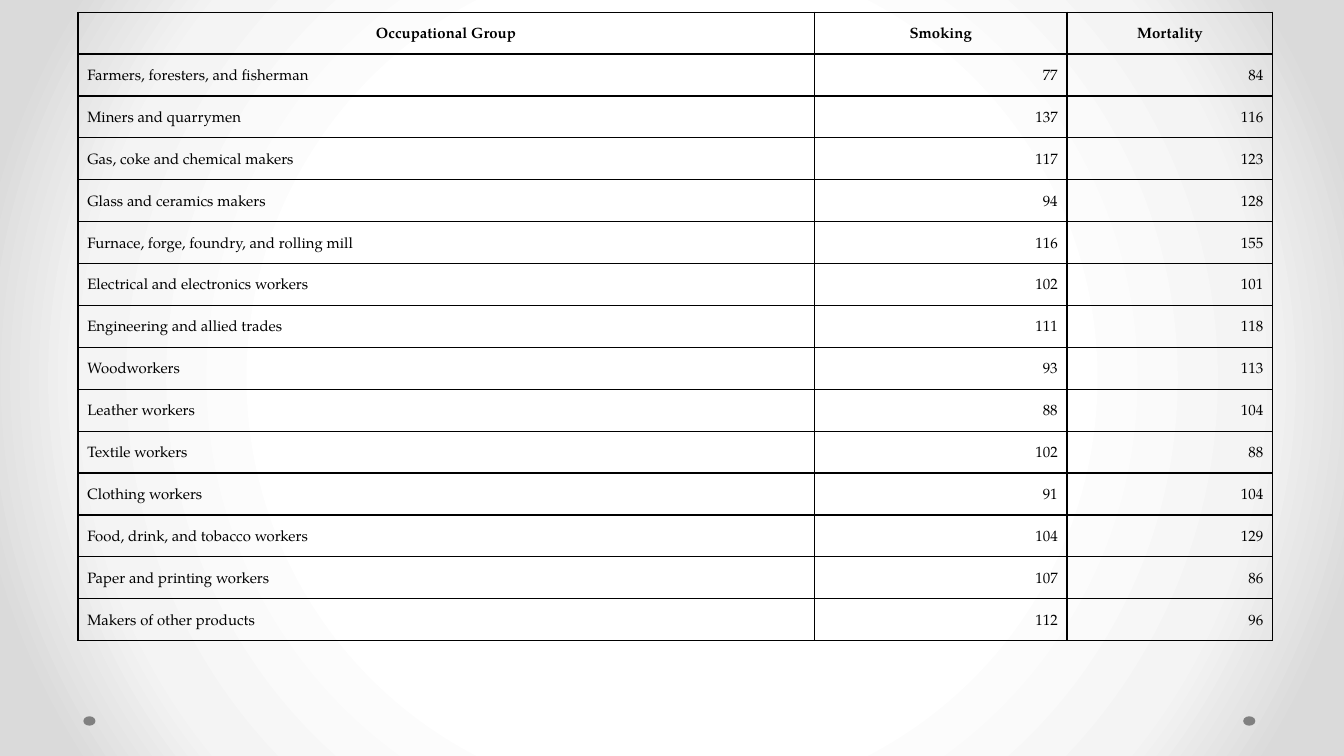
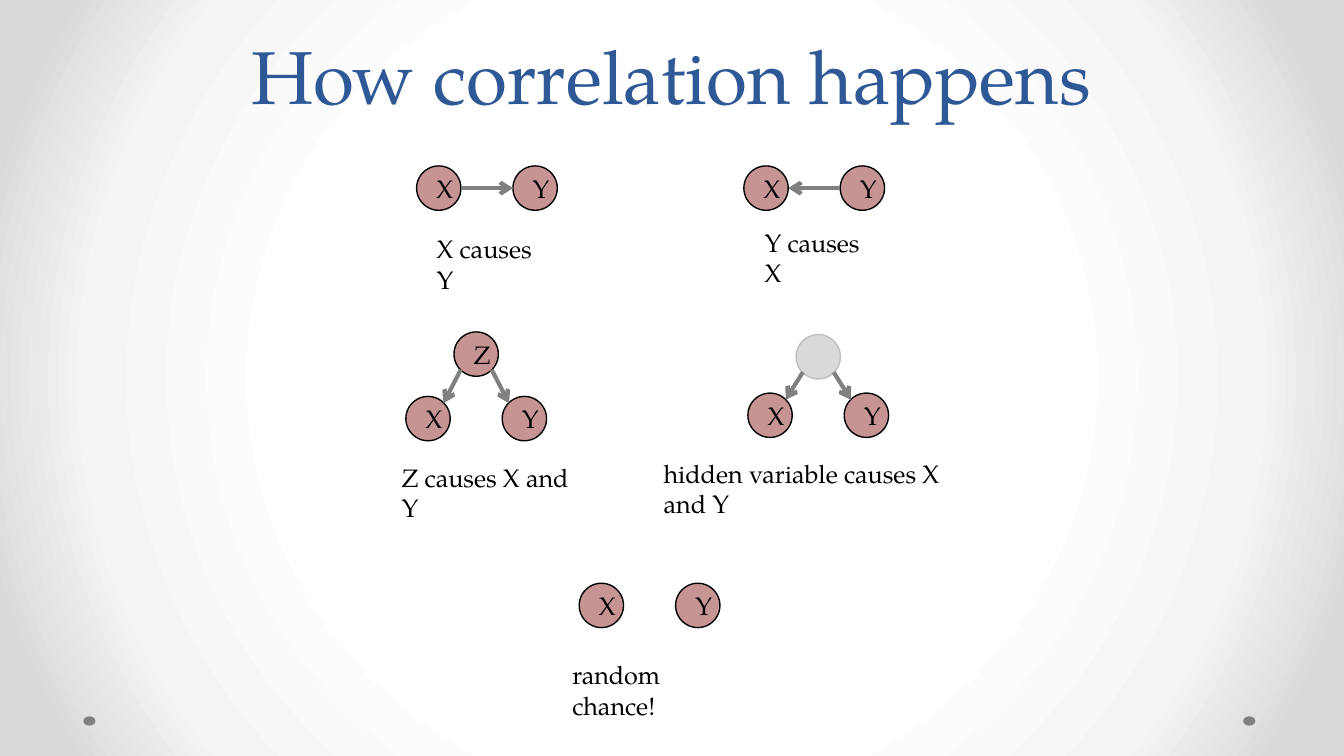
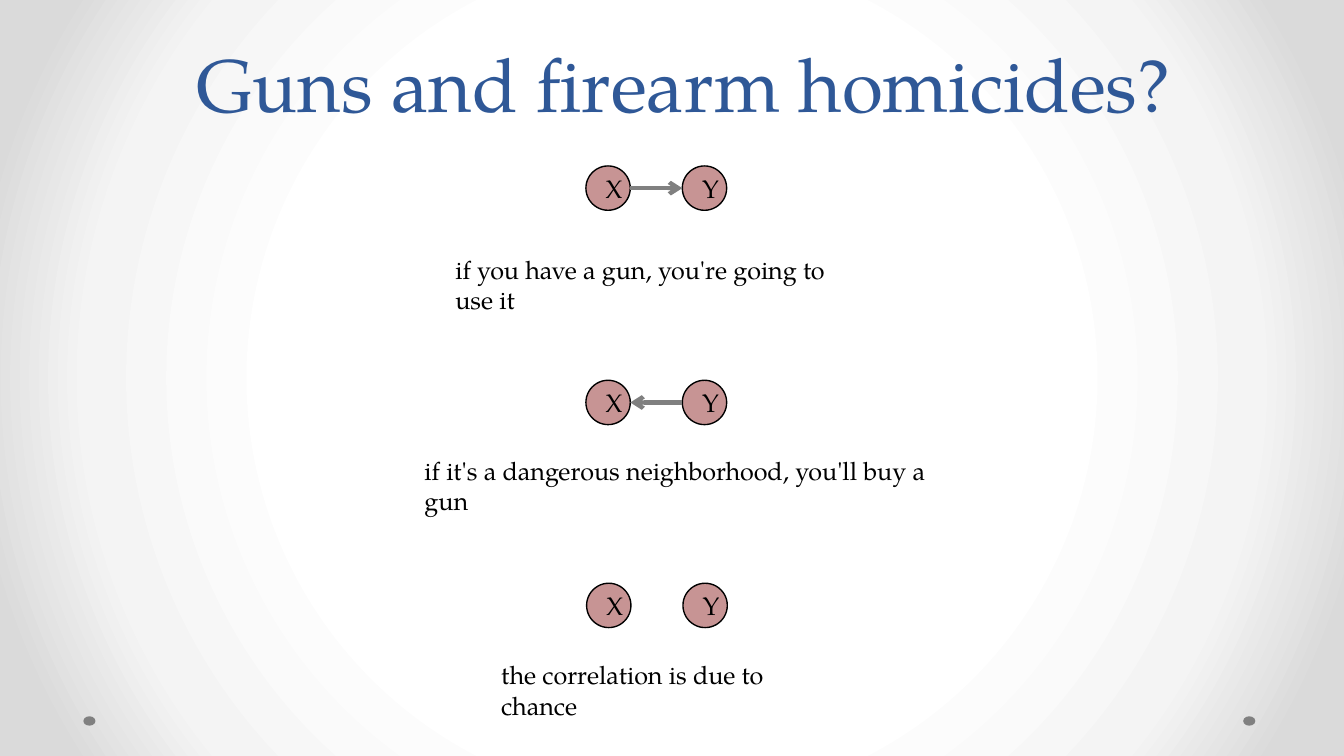
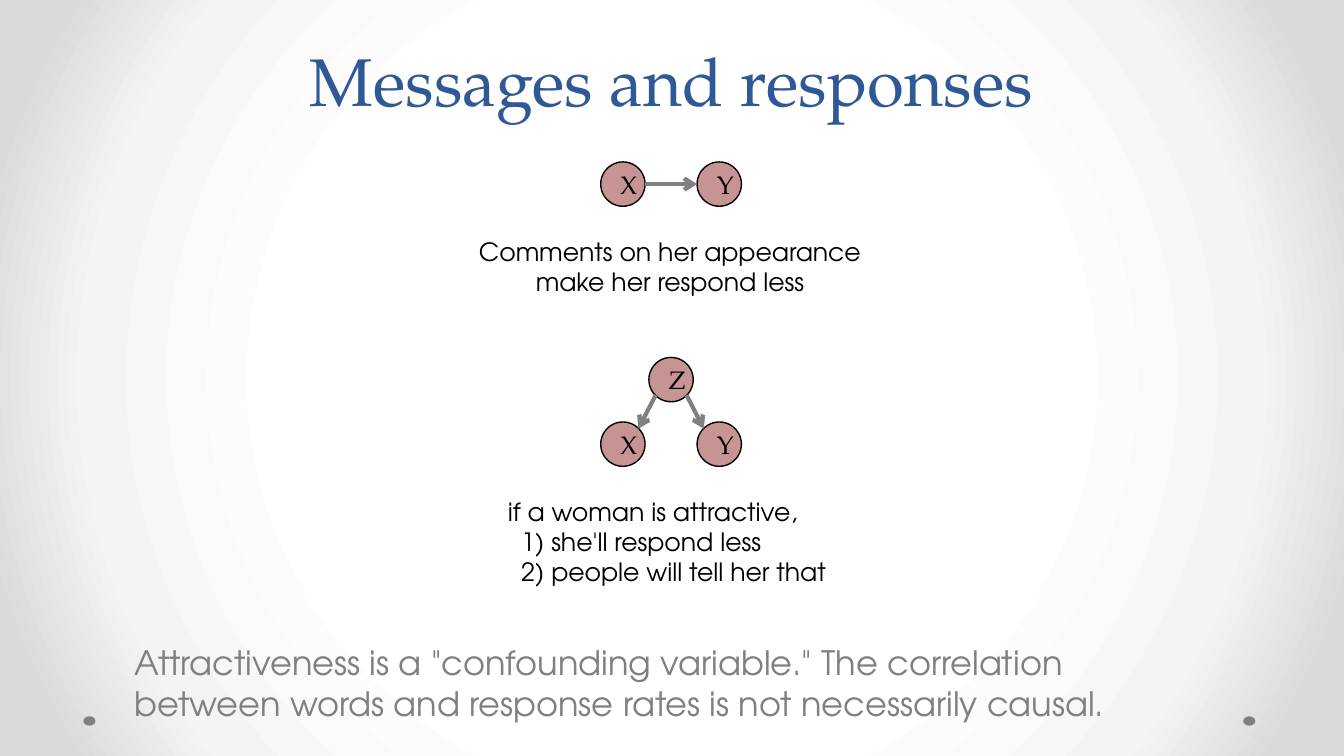
from lxml import etree
from pptx import Presentation
from pptx.dml.color import RGBColor
from pptx.enum.shapes import MSO_CONNECTOR, MSO_SHAPE
from pptx.enum.text import MSO_ANCHOR, MSO_AUTO_SIZE, PP_ALIGN
from pptx.oxml import parse_xml
from pptx.oxml.ns import nsdecls, qn
from pptx.util import Inches, Pt

OVAL = MSO_SHAPE.OVAL
STRAIGHT = MSO_CONNECTOR.STRAIGHT
LEFT, CENTER, RIGHT = PP_ALIGN.LEFT, PP_ALIGN.CENTER, PP_ALIGN.RIGHT
BOTTOM = MSO_ANCHOR.BOTTOM
GROW, FIXED = MSO_AUTO_SIZE.SHAPE_TO_FIT_TEXT, MSO_AUTO_SIZE.NONE

COLORS = {
    "title": "2F5897",
    "text": "000000",
    "muted": "808080",
    "node": "C79494",
    "hidden": "D9D9D9",
    "hidden_edge": "BFBFBF",
}
BACKDROP = [(50, "FFFFFF"), (76, "F4F4F4"), (92, "DADADA")]
SERIF = "TeX Gyre Pagella"
SANS = "TeX Gyre Adventor"

SLIDE_WIDTH = Inches(10)
SLIDE_HEIGHT = SLIDE_WIDTH * 9 // 16
GRID_COLUMNS = 100
UNIT = SLIDE_WIDTH // GRID_COLUMNS

NODE = 3.3
NODE_STEP = 7.17
NODE_CORNER = 0.5
TITLE_BOX = (16.2, 0, 67.5, 9.4)

TABLE_HEADER = ("Occupational Group", "Smoking", "Mortality")
OCCUPATIONS = [
    ("Farmers, foresters, and fisherman", 77, 84),
    ("Miners and quarrymen", 137, 116),
    ("Gas, coke and chemical makers", 117, 123),
    ("Glass and ceramics makers", 94, 128),
    ("Furnace, forge, foundry, and rolling mill", 116, 155),
    ("Electrical and electronics workers", 102, 101),
    ("Engineering and allied trades", 111, 118),
    ("Woodworkers", 93, 113),
    ("Leather workers", 88, 104),
    ("Textile workers", 102, 88),
    ("Clothing workers", 91, 104),
    ("Food, drink, and tobacco workers", 104, 129),
    ("Paper and printing workers", 107, 86),
    ("Makers of other products", 112, 96),
]


def grid(*lengths):
    return [round(length * UNIT) for length in lengths]


def rgb(name):
    return RGBColor.from_string(COLORS[name])


def style(paragraph, size, color="text", face=SERIF, align=LEFT, bold=False):
    paragraph.alignment = align
    font = paragraph.font
    font.size, font.name, font.bold = Pt(size), face, bold
    font.color.rgb = rgb(color)


def add_oval(slide, box, fill, edge=None):
    oval = slide.shapes.add_shape(OVAL, *grid(*box))
    oval.shadow.inherit = False
    oval.fill.solid()
    oval.fill.fore_color.rgb = rgb(fill)
    if edge:
        oval.line.color.rgb = rgb(edge)
        oval.line.width = Pt(0.75)
    else:
        oval.line.fill.background()
    return oval


def dress_master(prs):
    master = prs.slide_master
    stops = "".join(
        f'<a:gs pos="{share * 1000}"><a:srgbClr val="{color}"/></a:gs>' for share, color in BACKDROP
    )
    backdrop = parse_xml(
        f'<p:bg {nsdecls("p", "a")}><p:bgPr><a:gradFill rotWithShape="1"><a:gsLst>{stops}</a:gsLst>'
        '<a:path path="circle"><a:fillToRect l="50000" t="50000" r="50000" b="50000"/></a:path>'
        "</a:gradFill><a:effectLst/></p:bgPr></p:bg>"
    )
    content = master.element.cSld
    for old in content.findall(qn("p:bg")):
        content.remove(old)
    content.insert(0, backdrop)


def move_dots_to_master(prs, slide):
    for number, left in enumerate((92.5, 6.2), start=101):
        dot = add_oval(slide, (left, 53.3, 0.9, 0.7), "muted").element
        dot.nvSpPr.cNvPr.set("id", str(number))
        prs.slide_master.shapes.element.append(dot)


def add_title(slide, text, size=40, box=TITLE_BOX):
    title = slide.shapes.title
    title.left, title.top, title.width, title.height = grid(*box)
    frame = title.text_frame
    frame.text = text
    frame.vertical_anchor = BOTTOM
    frame.auto_size = FIXED
    style(frame.paragraphs[0], size, "title", align=CENTER)
    frame.paragraphs[0].line_spacing = Pt(58)


def add_caption(slide, box, lines, size=13.5, color="text", face=SERIF, align=LEFT, indent=0):
    frame = slide.shapes.add_textbox(*grid(*box)).text_frame
    frame.word_wrap = True
    frame.auto_size = GROW
    frame.text = "\n".join(lines)
    for index, paragraph in enumerate(frame.paragraphs):
        style(paragraph, size, color, face, align)
        if index and indent:
            paragraph._p.get_or_add_pPr().set("marL", str(round(indent * UNIT)))


def add_node(slide, left, top, label):
    fill, edge = ("node", "text") if label else ("hidden", "hidden_edge")
    node = add_oval(slide, (left, top, NODE, NODE), fill, edge)
    if label:
        node.text_frame.text = label
        style(node.text_frame.paragraphs[0], 13.5, align=CENTER)


def add_arrow(slide, start, end):
    arrow = slide.shapes.add_connector(STRAIGHT, *grid(*start, *end))
    arrow.line.color.rgb = rgb("muted")
    arrow.line.width = Pt(2.25)
    etree.SubElement(arrow.line._get_or_add_ln(), qn("a:tailEnd"), type="arrow")
    etree.SubElement(arrow.element.spPr, qn("a:effectLst"))


def add_pair(slide, left, top, cause=None):
    add_node(slide, left, top, "X")
    add_node(slide, left + NODE_STEP, top, "Y")
    middle = top + NODE / 2
    ends = [(left + NODE, middle), (left + NODE_STEP, middle)]
    if cause:
        add_arrow(slide, *(ends if cause == "X" else reversed(ends)))


def add_fork(slide, left, top, source="Z", drop=4.8):
    source_left = left + NODE_STEP / 2
    effects_top = top + drop
    near, far = NODE_CORNER, NODE - NODE_CORNER
    add_node(slide, source_left, top, source)
    add_pair(slide, left, effects_top)
    add_arrow(slide, (source_left + near, top + far), (left + far, effects_top + near))
    add_arrow(slide, (source_left + far, top + far), (left + NODE_STEP + near, effects_top + near))


def border_cell(cell):
    properties = cell._tc.get_or_add_tcPr()
    for index, side in enumerate(("lnL", "lnR", "lnT", "lnB")):
        properties.insert(index, parse_xml(
            f'<a:{side} {nsdecls("a")} w="{Pt(0.75)}"><a:solidFill>'
            f'<a:srgbClr val="{COLORS["text"]}"/></a:solidFill></a:{side}>'
        ))


def add_occupation_table(slide, left, top, column_widths, row_height):
    rows = [TABLE_HEADER, *OCCUPATIONS]
    box = (left, top, sum(column_widths), row_height * len(rows))
    table = slide.shapes.add_table(len(rows), len(TABLE_HEADER), *grid(*box)).table
    table.first_row = table.horz_banding = False
    for column, width in zip(table.columns, grid(*column_widths)):
        column.width = width
    for row_index, values in enumerate(rows):
        table.rows[row_index].height = grid(row_height)[0]
        for column_index, value in enumerate(values):
            cell = table.cell(row_index, column_index)
            cell.text = str(value)
            cell.fill.background()
            cell.margin_left = cell.margin_right = cell.margin_top = cell.margin_bottom = Inches(0.07)
            header = row_index == 0
            align = CENTER if header else RIGHT if column_index else LEFT
            paragraph = cell.text_frame.paragraphs[0]
            style(paragraph, 8, align=align, bold=header)
            paragraph.line_spacing = 1.4
            border_cell(cell)


def build_occupations(slide):
    add_occupation_table(slide, 5.8, 0.9, (54.8, 18.8, 15.3), 3.12)


def build_correlation(slide):
    add_title(slide, "How correlation happens")
    add_pair(slide, 31, 12.35, cause="X")
    add_caption(slide, (31.5, 16.9, 9.9, 3.3), ["X causes Y"])
    add_pair(slide, 55.35, 12.35, cause="Y")
    add_caption(slide, (55.9, 16.4, 9.9, 3.3), ["Y causes X"])
    add_fork(slide, 30.2, 24.7)
    add_caption(slide, (28.9, 33.9, 14.5, 3.3), ["Z causes X and Y"])
    add_fork(slide, 55.65, 24.9, source=None, drop=4.35)
    add_caption(slide, (48.4, 33.6, 25.6, 3.3), ["hidden variable causes X and Y"])
    add_pair(slide, 43.1, 43.4)
    add_caption(slide, (41.6, 48.6, 14.6, 3.3), ["random chance!"])


def build_guns(slide):
    add_title(slide, "Guns and firearm homicides?", box=(11.9, 0.6, 77.9, 9.4))
    add_pair(slide, 43.6, 12.35, cause="X")
    add_caption(slide, (32.9, 18.4, 32, 3.3), ["if you have a gun, you're going to use it"])
    add_pair(slide, 43.6, 28.3, cause="Y")
    add_caption(slide, (30.6, 33.4, 39.9, 3.3), ["if it's a dangerous neighborhood, you'll buy a gun"])
    add_pair(slide, 43.65, 43.4)
    add_caption(slide, (36.3, 48.6, 26.3, 3.3), ["the correlation is due to chance"])


def build_messages(slide):
    add_title(slide, "Messages and responses", size=36)
    add_pair(slide, 44.7, 12.05, cause="X")
    add_caption(slide, (34.4, 17.1, 30.9, 5.6),
                ["Comments on her appearance", "make her respond less"], face=SANS, align=CENTER)
    add_fork(slide, 44.7, 26.6)
    add_caption(slide, (36.8, 36.4, 26.2, 7.8),
                ["if a woman is attractive,", "1) she'll respond less", "2) people will tell her that"],
                face=SANS, indent=1)
    add_caption(slide, (9, 47.3, 81.9, 7.1),
                ['Attractiveness is a "confounding variable." The correlation between words '
                 "and response rates is not necessarily causal."],
                size=18, color="muted", face=SANS)


def main():
    prs = Presentation()
    prs.slide_width, prs.slide_height = SLIDE_WIDTH, SLIDE_HEIGHT
    dress_master(prs)
    title_only, blank = prs.slide_layouts[5], prs.slide_layouts[6]
    opening = prs.slides.add_slide(blank)
    move_dots_to_master(prs, opening)
    build_occupations(opening)
    for build in (build_correlation, build_guns, build_messages):
        build(prs.slides.add_slide(title_only))
    prs.save("out.pptx")


if __name__ == "__main__":
    main()
